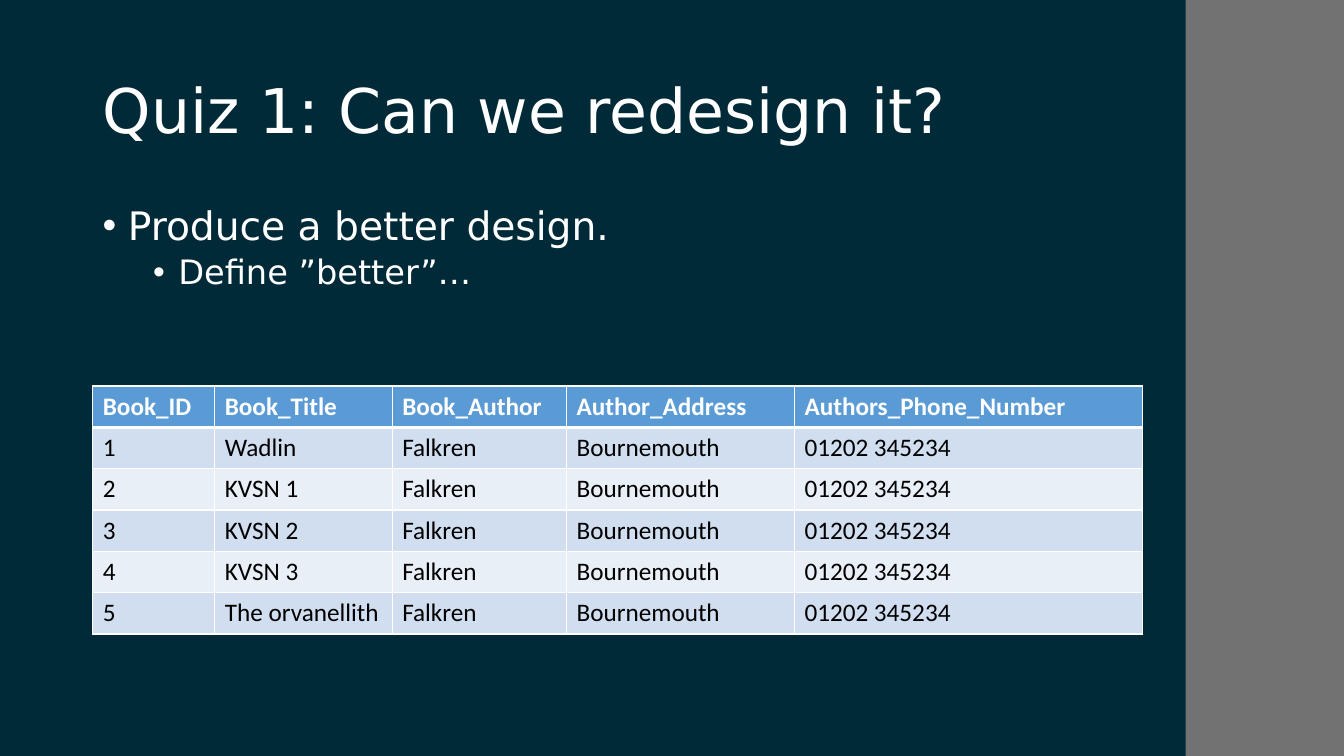
from lxml import etree
from pptx import Presentation
from pptx.dml.color import RGBColor
from pptx.enum.shapes import MSO_SHAPE
from pptx.enum.text import MSO_ANCHOR, MSO_AUTO_SIZE, PP_ALIGN
from pptx.oxml.ns import qn
from pptx.util import Inches, Pt

RECTANGLE = MSO_SHAPE.RECTANGLE
MIDDLE = MSO_ANCHOR.MIDDLE
NO_FIT = MSO_AUTO_SIZE.NONE
LEFT = PP_ALIGN.LEFT
WHITE = "FFFFFF"
MARGIN = 0.92
TEXT_WIDTH = 11.5
ROW_HEIGHT = 0.41


def color(value):
    return RGBColor.from_string(value)


def write(para, text, size, font, value, bold=False):
    span = para.add_run()
    span.text = text
    span.font.color.rgb = color(value)
    for name, setting in {"size": Pt(size), "name": font, "bold": bold}.items():
        setattr(span.font, name, setting)


deck = Presentation()
deck.slide_width = Inches(13.33)
deck.slide_height = Inches(7.5)
page = deck.slides.add_slide(deck.slide_layouts[5])
page.background.fill.solid()
page.background.fill.fore_color.rgb = color("002A37")

band = page.shapes.add_shape(RECTANGLE, Inches(11.76), 0, Inches(1.57), deck.slide_height)
band.shadow.inherit = False
band.fill.solid()
band.fill.fore_color.rgb = color("727272")
band.line.fill.background()

title = page.shapes.title
for name, length in {"left": MARGIN, "top": 0.4, "width": TEXT_WIDTH, "height": 1.45}.items():
    setattr(title, name, Inches(length))
frame = title.text_frame
for name, setting in {"vertical_anchor": MIDDLE, "auto_size": NO_FIT, "word_wrap": True}.items():
    setattr(frame, name, setting)
para = frame.paragraphs[0]
para.alignment = LEFT
para.line_spacing = 0.9
write(para, "Quiz 1: Can we redesign it?", 44, "DejaVu Sans", WHITE)

body = page.shapes.add_textbox(Inches(MARGIN), Inches(2), Inches(TEXT_WIDTH), Inches(4.76))
frame = body.text_frame
frame.word_wrap = True
bullets = [("Produce a better design.", 28, 10), ("Define ”better”…", 24, 5)]
for level, (text, size, space) in enumerate(bullets):
    para = frame.add_paragraph() if level else frame.paragraphs[0]
    para.level = level
    para.line_spacing = 0.9
    para.space_before = Pt(space)
    write(para, text, size, "DejaVu Sans", WHITE)
    properties = para._p.get_or_add_pPr()
    properties.set("marL", str(Inches(0.25 + 0.5 * level)))
    properties.set("indent", str(Inches(-0.25)))
    bullet_color = etree.SubElement(properties, qn("a:buClr"))
    etree.SubElement(bullet_color, qn("a:srgbClr"), val=WHITE)
    etree.SubElement(properties, qn("a:buFont"), typeface="Arial")
    etree.SubElement(properties, qn("a:buChar"), char="•")

headings = ["Book_ID", "Book_Title", "Book_Author", "Author_Address", "Authors_Phone_Number"]
titles = ["Wadlin", "KVSN 1", "KVSN 2", "KVSN 3", "The orvanellith"]
rows = [headings] + [
    [str(number), book, "Falkren", "Bournemouth", "01202 345234"]
    for number, book in enumerate(titles, 1)
]
widths = [1.21, 1.76, 1.73, 2.26, 3.45]
table = page.shapes.add_table(
    len(rows), len(widths), Inches(MARGIN), Inches(3.83),
    Inches(sum(widths)), Inches(ROW_HEIGHT * len(rows)),
).table
for column, width in zip(table.columns, widths):
    column.width = Inches(width)

for row_index, row in enumerate(rows):
    header = row_index == 0
    fill = "5B9BD5" if header else ("E9EFF7", "D1DEEF")[row_index % 2]
    thick_side = {0: "lnB", 1: "lnT"}.get(row_index)
    for column_index, text in enumerate(row):
        cell = table.cell(row_index, column_index)
        write(cell.text_frame.paragraphs[0], text, 18, "Calibri",
              WHITE if header else "000000", header)
        properties = cell._tc.get_or_add_tcPr()
        for side in ("lnL", "lnR", "lnT", "lnB"):
            weight = Pt(3 if side == thick_side else 0.96)
            border = etree.SubElement(properties, qn("a:" + side), w=str(weight))
            paint = etree.SubElement(border, qn("a:solidFill"))
            etree.SubElement(paint, qn("a:srgbClr"), val=WHITE)
        cell.fill.solid()
        cell.fill.fore_color.rgb = color(fill)

deck.save("out.pptx")
